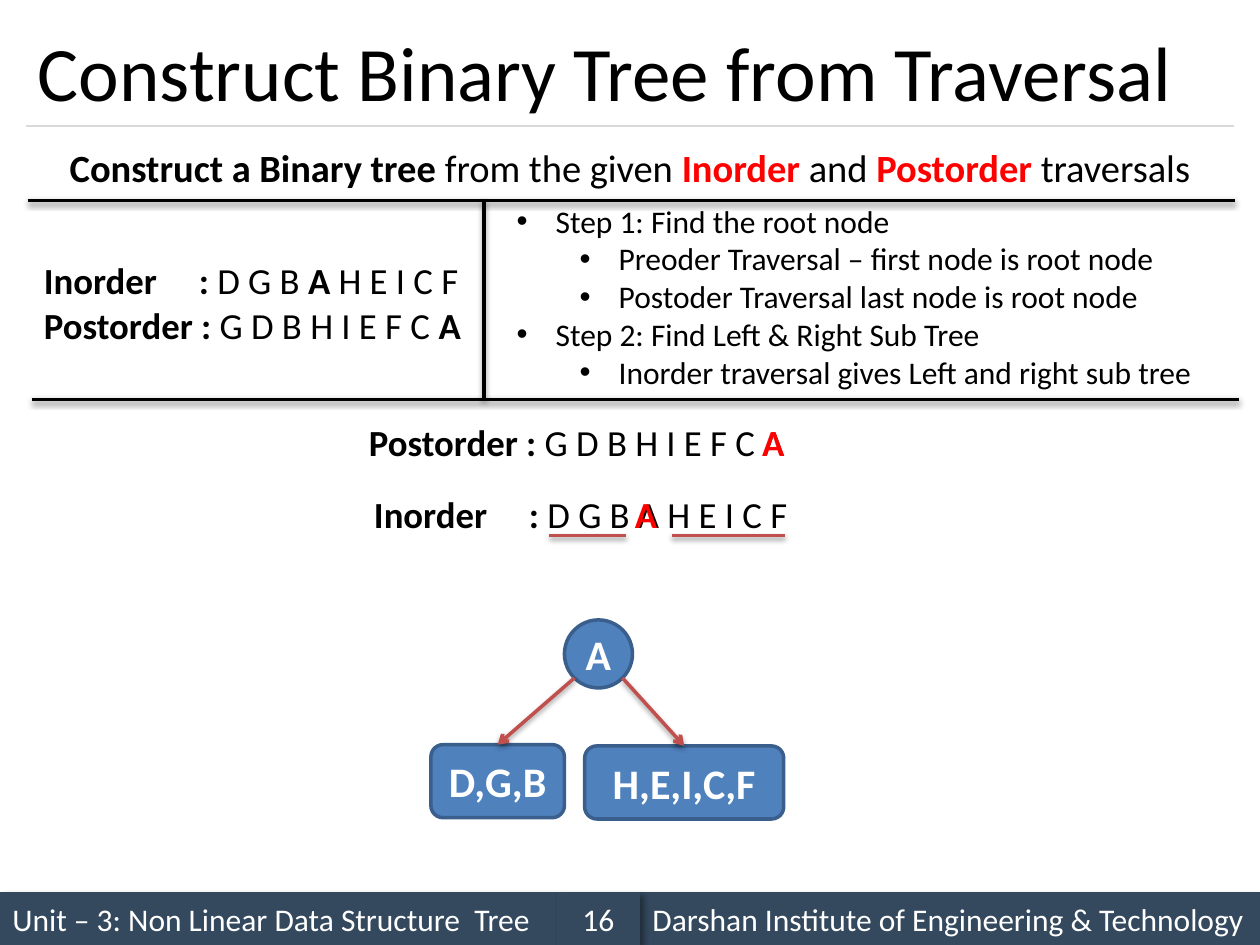
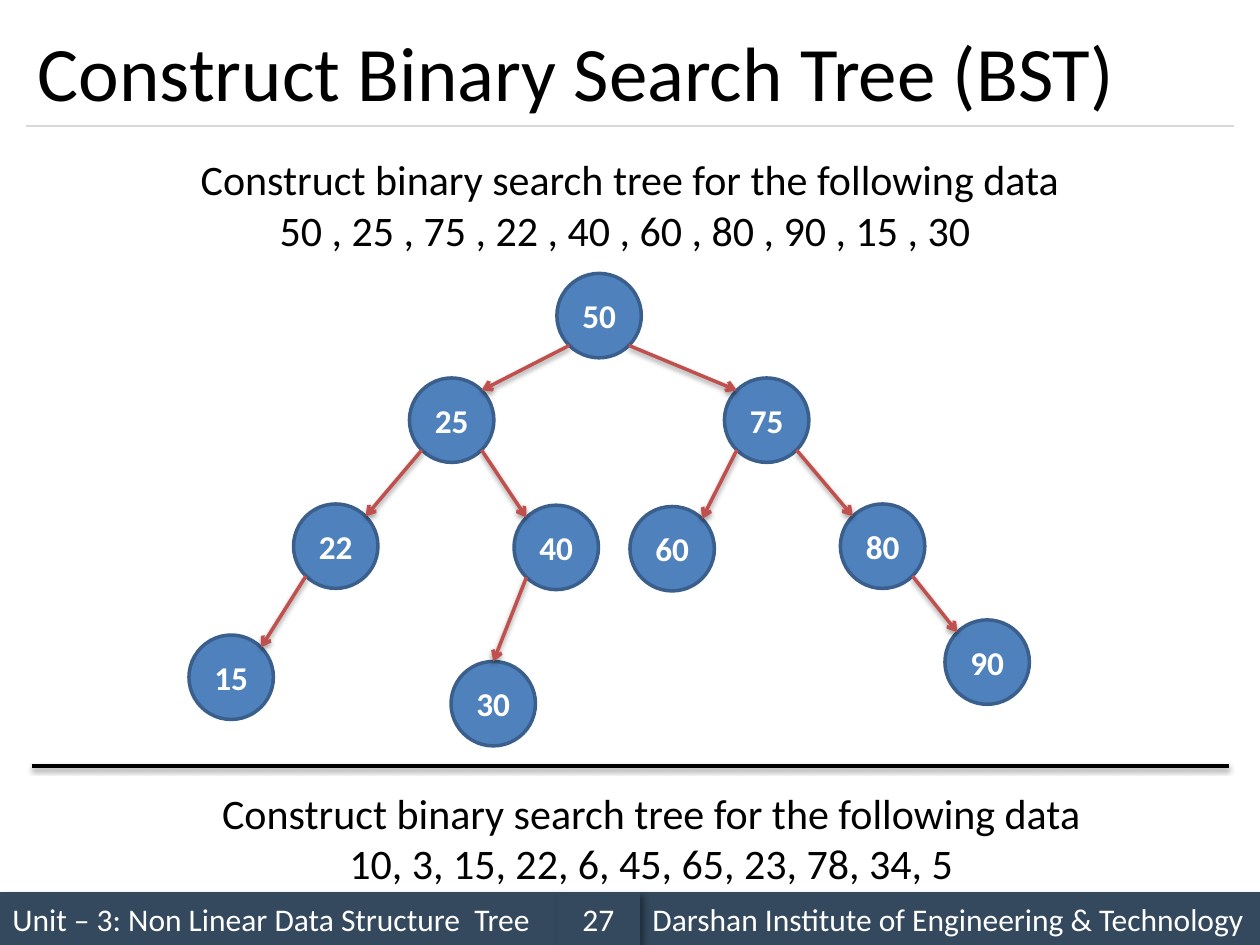
from math import sqrt

from lxml import etree
from pptx import Presentation
from pptx.dml.color import RGBColor
from pptx.enum import shapes, text
from pptx.oxml import ns
from pptx.util import Inches, Pt

FONT = "Calibri"
BLACK = RGBColor(0, 0, 0)
WHITE = RGBColor(255, 255, 255)
RED = RGBColor(255, 0, 0)
SLATE = RGBColor(0x34, 0x49, 0x5E)
GREY = RGBColor(0xD9, 0xD9, 0xD9)
BLUE = RGBColor(0x4F, 0x81, 0xBD)
NODE_EDGE = RGBColor(0x3A, 0x5F, 0x8C)
BRICK = RGBColor(0xC0, 0x50, 0x4D)

SHAPE = shapes.MSO_SHAPE
MIDDLE = text.MSO_ANCHOR.MIDDLE
LEFT, CENTER = text.PP_ALIGN.LEFT, text.PP_ALIGN.CENTER

BAR_SHADOW = (40, 4, 3, 45)  # opacity %, blur pt, distance pt, angle
LINE_SHADOW = (38, 3.1, 1.6, 90)

UNIT = "Unit – 3: Non Linear Data Structure  Tree"
INSTITUTE = "Darshan Institute of Engineering & Technology"
PROMPT = "Construct binary search tree for the following data"


# ---- shared helpers ----
def inches(*lengths):
    return [Inches(v) for v in lengths]


def child(parent, tag, **attributes):
    element = etree.SubElement(parent, ns.qn(tag))
    for name, value in attributes.items():
        element.set(name, str(value))
    return element


def set_shadow(sp, shadow):
    """Add an effect list, empty when there is no shadow."""
    effects = child(sp._element.spPr, "a:effectLst")
    if shadow:
        opacity, blur, distance, angle = shadow
        outer = child(effects, "a:outerShdw", blurRad=Pt(blur),
                      dist=Pt(distance), dir=angle * 60000, rotWithShape=0)
        colour = child(outer, "a:srgbClr", val=BLACK)
        child(colour, "a:alpha", val=opacity * 1000)


def style(r, size, colour=BLACK, bold=False):
    r.font.name = FONT
    r.font.size = Pt(size)
    r.font.bold = bold
    r.font.color.rgb = colour


def add_runs(p, runs, size):
    """Each run is (words, bold) or (words, bold, colour)."""
    for words, bold, *colour in runs:
        r = p.add_run()
        r.text = words
        style(r, size, *(colour or [BLACK]), bold=bold)


def add_text(s, box, paragraphs, size, align=LEFT, tab=None):
    tf = s.shapes.add_textbox(*inches(*box)).text_frame
    tf.word_wrap = True
    for i, runs in enumerate(paragraphs):
        p = tf.paragraphs[0] if i == 0 else tf.add_paragraph()
        p.alignment = align
        if tab:
            tabs = child(p._p.get_or_add_pPr(), "a:tabLst")
            child(tabs, "a:tab", pos=Inches(tab), algn="l")
        add_runs(p, runs, size)
    return tf


def add_line(s, start, end, colour=BLACK, width=2, shadow=LINE_SHADOW, arrow=False):
    line = s.shapes.add_connector(shapes.MSO_CONNECTOR.STRAIGHT, *inches(*start, *end))
    line.line.color.rgb = colour
    line.line.width = Pt(width)
    if arrow:
        child(line.line._get_or_add_ln(), "a:tailEnd", type="arrow")
    set_shadow(line, shadow)
    return line


def add_block(s, kind, box, words, size, fill, edge=None, bold=False, align=CENTER):
    sp = s.shapes.add_shape(kind, *inches(*box))
    sp.fill.solid()
    sp.fill.fore_color.rgb = fill
    if edge:
        sp.line.color.rgb = edge
        sp.line.width = Pt(2)
    else:
        sp.line.fill.background()
    tf = sp.text_frame
    tf.text = words
    tf.vertical_anchor = MIDDLE
    p = tf.paragraphs[0]
    p.alignment = align
    style(p.runs[0], size, WHITE, bold)
    return sp


def add_node(s, box, words, size, kind=SHAPE.OVAL):
    sp = add_block(s, kind, box, words, size, BLUE, NODE_EDGE, bold=True)
    sp.shadow.inherit = False
    tf = sp.text_frame
    tf.word_wrap = False
    tf.margin_left = tf.margin_right = 0
    return sp


def diagonal(box, dx, dy):
    """Point of a circle towards the corner (dx, dy), each -1 or 1."""
    x, y, w, h = box
    return x + w / 2 + dx * w / sqrt(8), y + h / 2 + dy * h / sqrt(8)


def place(sp, box):
    sp.left, sp.top, sp.width, sp.height = inches(*box)


# ---- frame common to all slides ----
def new_slide(prs, layout, title, number):
    s = prs.slides.add_slide(prs.slide_layouts[layout])
    place(s.shapes.title, (0.2, 0.12, 9.58, 0.88))
    tf = s.shapes.title.text_frame
    tf.text = title
    tf.auto_size = text.MSO_AUTO_SIZE.NONE
    tf.vertical_anchor = MIDDLE
    tf.paragraphs[0].alignment = LEFT
    style(tf.paragraphs[0].runs[0], 44)
    add_line(s, (0.21, 1), (9.79, 1), GREY, 0.75, shadow=None)
    add_footer(s, 7.08, 0.42, number)
    return s


def add_footer(s, top, height, number):
    for x, w, words, align in (
        (0, 4.42, UNIT, LEFT),
        (5.08, 4.92, INSTITUTE, LEFT),
        (4.42, 0.66, str(number), CENTER),
    ):
        bar = add_block(s, SHAPE.RECTANGLE, (x, top, w, height), words, 18, SLATE, align=align)
        set_shadow(bar, BAR_SHADOW)


# ---- slide: tree from traversals ----
def add_steps(s, box):
    steps = [
        (0, "Step 1: Find the root node"),
        (1, "Preoder Traversal – first node is root node"),
        (1, "Postoder Traversal last node is root node"),
        (0, "Step 2: Find Left & Right Sub Tree"),
        (1, "Inorder traversal gives Left and right sub tree"),
    ]
    body = s.placeholders[1]
    place(body, box)
    tf = body.text_frame
    tf.auto_size = text.MSO_AUTO_SIZE.NONE
    for i, (level, words) in enumerate(steps):
        p = tf.paragraphs[0] if i == 0 else tf.add_paragraph()
        p.text = words
        p.level = level
        p.space_before = Pt(0)
        pPr = p._p.get_or_add_pPr()
        pPr.set("marL", str(Inches(0.31 + 0.5 * level)))
        pPr.set("indent", str(-Inches(0.31)))
        child(pPr, "a:buFont", typeface="Arial")
        child(pPr, "a:buChar", char="•")
        style(p.runs[0], 18)


def add_problem(s, box):
    """Given traversals on the left, steps on the right, ruled on three sides."""
    x, y, w, h = box
    divider = x + 3.62
    add_text(s, (x + 0.03, y + 0.41, 3.65, 0.81), [
        [("Inorder\t:", True), (" D G B ", False), ("A", True), (" H E I C F", False)],
        [("Postorder :", True), (" G D B H I E F C ", False), ("A", True)],
    ], 21, tab=1.23)
    add_steps(s, (x + 3.78, y - 0.04, 5.63, 1.62))
    add_line(s, (divider, y), (divider, y + h))
    add_line(s, (x, y), (x + w, y))
    add_line(s, (x + 0.03, y + h), (x + 0.03 + w, y + h))


def add_marked_traversals(s, x, y):
    """Both traversals with the root in red and the subtrees underlined."""
    inorder = y + 0.57
    add_text(s, (x + 0.04, inorder, 3.7, 0.45),
             [[("Inorder\t: ", True), ("D G B A H E I C F", False)]], 21, tab=1.23)
    add_text(s, (x, y, 3.7, 0.45),
             [[("Postorder :", True), (" G D B H I E F C A", False)]], 21)
    for root_x, root_y in ((x + 3.12, y), (x + 2.11, inorder)):
        add_text(s, (root_x, root_y, 0.38, 0.45), [[("A", True, RED)]], 21)
    for start, end in ((1.53, 2.14), (2.5, 3.4)):
        add_line(s, (x + start, y + 0.97), (x + end, y + 0.97), BRICK)


def add_first_split(s, x, y):
    root = (x + 1.06, y, 0.54, 0.54)
    add_node(s, root, "A", 24)
    subtrees = (
        (-1, (x, y + 0.99, 1.06, 0.58), "D,G,B"),
        (1, (x + 1.22, y + 1, 1.58, 0.58), "H,E,I,C,F"),
    )
    for side, box, words in subtrees:
        subtree = add_node(s, box, words, 24, SHAPE.ROUNDED_RECTANGLE)
        top_middle = (box[0] + box[2] / 2, box[1])
        arrow = add_line(s, diagonal(root, side, 1), top_middle, BRICK, arrow=True)
        arrow.end_connect(subtree, 0)


def traversal_slide(prs):
    s = new_slide(prs, 1, "Construct Binary Tree from Traversal", 16)
    add_text(s, (0.25, 1.09, 9.5, 0.47), [[
        ("Construct a Binary tree ", True), ("from the given ", False),
        ("Inorder ", True, RED), ("and ", False),
        ("Postorder ", True, RED), ("traversals", False),
    ]], 22, CENTER)
    add_problem(s, (0.22, 1.59, 9.58, 1.58))
    add_marked_traversals(s, 2.83, 3.28)
    add_first_split(s, 3.42, 4.92)


# ---- slide: binary search tree ----
def add_search_tree(s, x, y):
    size = 0.67
    spots = {
        50: (2.92, 0), 25: (1.75, 0.83), 75: (4.25, 0.83),
        22: (0.83, 1.83), 40: (2.58, 1.84), 60: (3.5, 1.85), 80: (5.17, 1.83),
        90: (6, 2.75), 15: (0, 2.87), 30: (2.08, 3.08),
    }
    parents = {25: 50, 75: 50, 22: 25, 40: 25, 60: 75, 80: 75, 15: 22, 30: 40, 90: 80}
    boxes = {key: (x + dx, y + dy, size, size) for key, (dx, dy) in spots.items()}
    nodes = {key: add_node(s, box, str(key), 19) for key, box in boxes.items()}
    for key, parent in parents.items():
        side = -1 if key < parent else 1
        arrow = add_line(s, diagonal(boxes[parent], side, 1),
                         diagonal(boxes[key], -side, -1), BRICK, arrow=True)
        if key == 30:  # nearly below its parent, so entered from the top
            arrow.end_connect(nodes[key], 0)


def add_prompt(s, x, y, data):
    """The task on one line and its data on the next, in one paragraph."""
    tf = add_text(s, (x, y, 9.5, 0.91), [[(PROMPT, False)]], 24, CENTER)
    p = tf.paragraphs[0]
    p.add_line_break()
    add_runs(p, [(data, False)], 24)


def search_tree_slide(prs):
    s = new_slide(prs, 5, "Construct Binary Search Tree (BST)", 27)
    add_prompt(s, 0.25, 1.17, "50 , 25 , 75 , 22 , 40 , 60 , 80 , 90 , 15 , 30 ")
    add_search_tree(s, 1.5, 2.17)
    add_prompt(s, 0.42, 6.2, "10, 3, 15, 22, 6, 45, 65, 23, 78, 34, 5")
    add_line(s, (0.25, 6.08), (9.75, 6.08))


def main():
    prs = Presentation()
    prs.slide_width, prs.slide_height = inches(10, 7.5)
    traversal_slide(prs)
    search_tree_slide(prs)
    prs.save("out.pptx")


if __name__ == "__main__":
    main()
